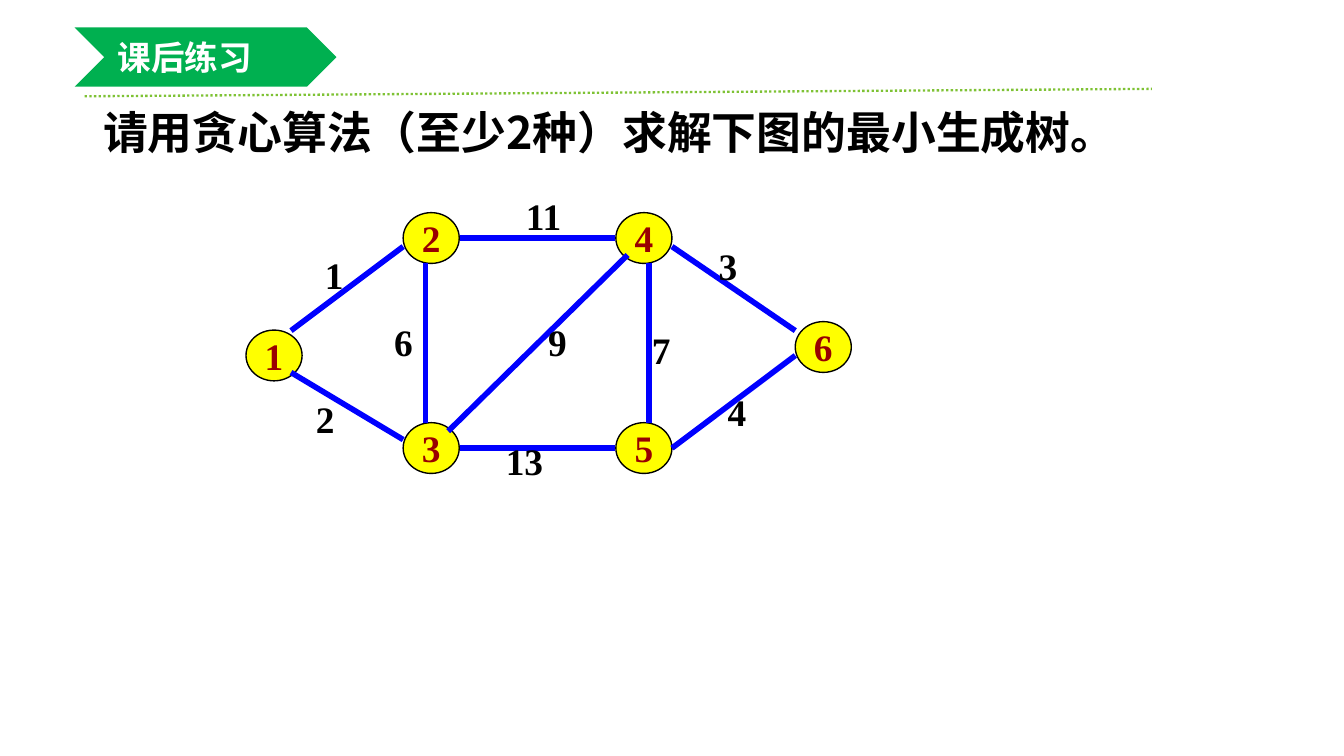
from lxml.etree import SubElement
from pptx import Presentation
from pptx.dml.color import RGBColor
from pptx.enum.dml import MSO_LINE
from pptx.enum.shapes import MSO_CONNECTOR, MSO_SHAPE
from pptx.enum.text import MSO_ANCHOR, MSO_AUTO_SIZE, PP_ALIGN
from pptx.oxml.ns import qn
from pptx.util import Cm, Pt

BLACK = RGBColor(0x00, 0x00, 0x00)
WHITE = RGBColor(0xFF, 0xFF, 0xFF)
YELLOW = RGBColor(0xFF, 0xFF, 0x00)
DARK_RED = RGBColor(0x99, 0x00, 0x00)
BLUE = RGBColor(0x00, 0x00, 0xFF)
GREEN = RGBColor(0x00, 0xB0, 0x50)
LIGHT_GREEN = RGBColor(0x7E, 0xC2, 0x34)

CHINESE_FONT = "Noto Sans CJK SC"
NUMBER_FONT = "Times New Roman"

HEADING = "课后练习"
QUESTION = "请用贪心算法（至少2种）求解下图的最小生成树。"

NODE_WIDTH, NODE_HEIGHT = 1.06, 0.96
NODES = {
    "2": (7.62, 4.02),
    "4": (11.64, 4.02),
    "3": (7.62, 7.99),
    "5": (11.64, 7.99),
    "1": (4.65, 6.24),
    "6": (15.03, 6.08),
}

EDGES = [
    {"weight": "1", "start": (5.5, 6.25), "end": (7.62, 4.66), "label": (5.89, 4.65)},
    {"weight": "2", "start": (5.5, 7.04), "end": (7.62, 8.31), "label": (5.72, 7.37)},
    {"weight": "11", "start": (8.69, 4.5), "end": (11.63, 4.5), "label": (9.69, 3.53)},
    {"weight": "13", "start": (8.69, 8.47), "end": (11.63, 8.47), "label": (9.31, 8.16)},
    {"weight": "6", "start": (8.04, 4.98), "end": (8.04, 8.0), "label": (7.2, 5.91)},
    {"weight": "7", "start": (12.27, 4.98), "end": (12.27, 8.0), "label": (12.07, 6.06)},
    {"weight": "9", "start": (8.47, 8.15), "end": (11.86, 4.82), "label": (10.11, 5.91)},
    {"weight": "3", "start": (12.7, 4.66), "end": (15.03, 6.25), "label": (13.33, 4.48)},
    {"weight": "4", "start": (12.7, 8.47), "end": (15.03, 6.72), "label": (13.5, 7.23)},
]
LABEL_WIDTHS = {1: 0.88, 2: 1.25}
LABEL_HEIGHT = 1.11


def write(shape, text, font_name, size, color, wrap=True):
    frame = shape.text_frame
    frame.word_wrap = wrap
    frame.text = text
    span = frame.paragraphs[0].runs[0]
    span.font.name = font_name
    span.font.size = Pt(size)
    span.font.bold = True
    span.font.color.rgb = color
    if font_name == CHINESE_FONT:
        SubElement(span.font._element, qn("a:ea"), typeface=font_name)
    return frame


def add_line(page, start, end, color, width):
    ends = [Cm(value) for value in (*start, *end)]
    line = page.shapes.add_connector(MSO_CONNECTOR.STRAIGHT, *ends)
    line.line.color.rgb = color
    line.line.width = Pt(width)
    SubElement(line._element.spPr, qn("a:effectLst"))
    return line


def add_filled(page, kind, left, top, width, height, fill):
    shape = page.shapes.add_shape(kind, Cm(left), Cm(top), Cm(width), Cm(height))
    shape.shadow.inherit = False
    shape.fill.solid()
    shape.fill.fore_color.rgb = fill
    return shape


def add_text(page, left, top, width, height, *style, wrap=True):
    box = page.shapes.add_textbox(Cm(left), Cm(top), Cm(width), Cm(height))
    write(box, *style, wrap=wrap).auto_size = MSO_AUTO_SIZE.SHAPE_TO_FIT_TEXT


def add_node(page, name, left, top):
    node = add_filled(page, MSO_SHAPE.OVAL, left, top, NODE_WIDTH, NODE_HEIGHT, YELLOW)
    node.line.color.rgb = BLACK
    node.line.width = Pt(0.75)
    frame = write(node, name, NUMBER_FONT, 20, DARK_RED, wrap=False)
    frame.vertical_anchor = MSO_ANCHOR.MIDDLE
    frame.paragraphs[0].alignment = PP_ALIGN.CENTER


def add_heading(page):
    banner = add_filled(page, MSO_SHAPE.CHEVRON, 1.41, 0.52, 4.95, 1.12, GREEN)
    banner.line.fill.background()
    frame = write(banner, HEADING, CHINESE_FONT, 18, WHITE)
    frame.vertical_anchor = MSO_ANCHOR.MIDDLE
    frame.paragraphs[0].alignment = PP_ALIGN.LEFT


def main():
    deck = Presentation()
    deck.slide_width, deck.slide_height = Cm(25.4), Cm(14.29)
    page = deck.slides.add_slide(deck.slide_layouts[6])

    rule = add_line(page, (1.6, 1.82), (21.77, 1.68), LIGHT_GREEN, 1.25)
    rule.line.dash_style = MSO_LINE.ROUND_DOT

    for name, corner in NODES.items():
        add_node(page, name, *corner)
    for edge in EDGES:
        add_line(page, edge["start"], edge["end"], BLUE, 3)
    for edge in EDGES:
        weight = edge["weight"]
        add_text(page, *edge["label"], LABEL_WIDTHS[len(weight)], LABEL_HEIGHT,
                 weight, NUMBER_FONT, 20, BLACK, wrap=False)

    add_heading(page)
    add_text(page, 1.7, 1.85, 20.52, 1.27, QUESTION, CHINESE_FONT, 24, BLACK)
    deck.save("out.pptx")


if __name__ == "__main__":
    main()
